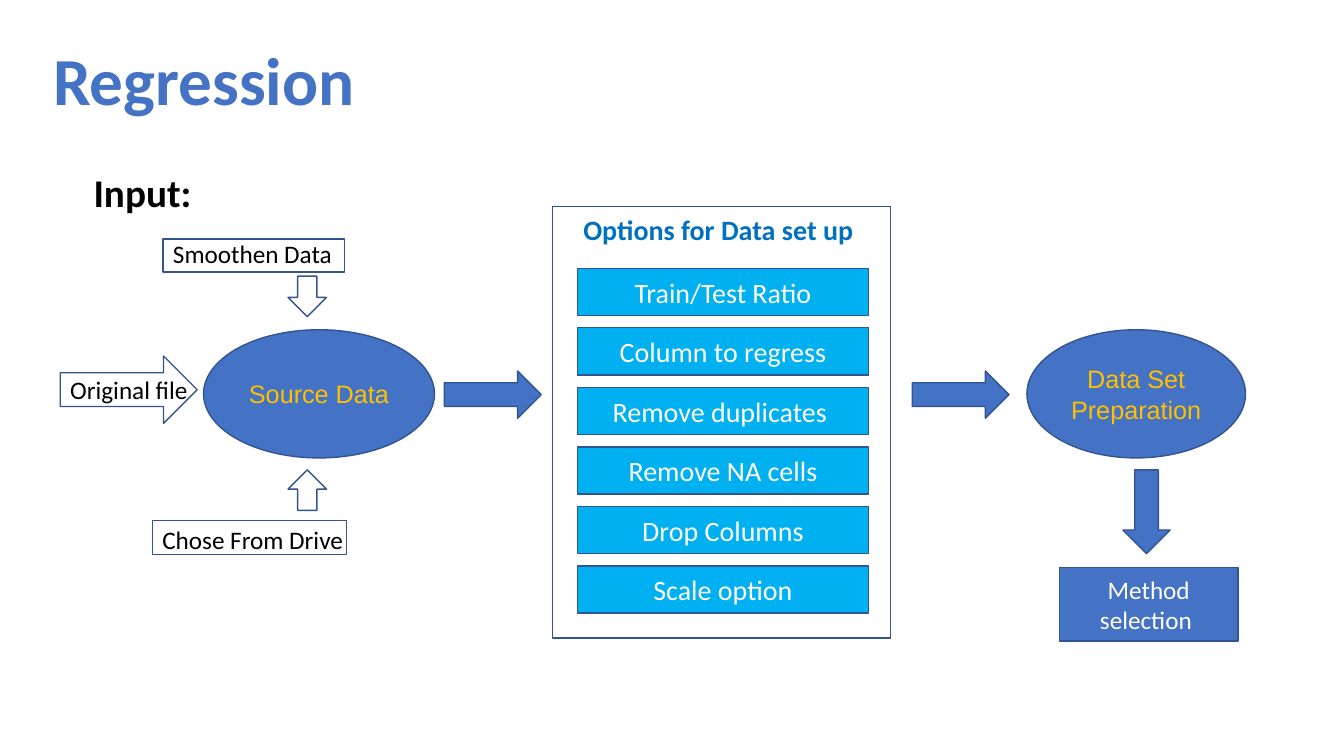
from dataclasses import dataclass

from pptx import Presentation
from pptx.dml.color import RGBColor
from pptx.enum.shapes import MSO_SHAPE
from pptx.enum.text import MSO_ANCHOR, PP_ALIGN
from pptx.util import Cm, Pt


@dataclass(frozen=True)
class Theme:
    blue: str = "4472C4"
    outline: str = "325491"
    sky: str = "00B0F0"
    heading: str = "0070C0"
    gold: str = "FFC000"
    white: str = "FFFFFF"
    black: str = "000000"
    body_font: str = "Calibri"
    node_font: str = "Arial"
    title_size: int = 48
    section_size: int = 28
    option_size: int = 20
    label_size: int = 18
    line_width: int = 1


@dataclass(frozen=True)
class Box:
    """A rectangle in centimetres."""
    left: float
    top: float
    width: float
    height: float

    def inner(self, left, top, width, height):
        """A box whose place is counted from this box's top left corner."""
        return Box(self.left + left, self.top + top, width, height)

    def lengths(self):
        return [Cm(n) for n in (self.left, self.top, self.width, self.height)]


THEME = Theme()
OPTIONS = ["Train/Test Ratio", "Column to regress", "Remove duplicates ",
           "Remove NA cells", "Drop Columns", "Scale option"]


def write(frame, text, size, color, font=THEME.body_font, bold=False):
    para = frame.paragraphs[0]
    para.text = text
    para.font.name = font
    para.font.size = Pt(size)
    para.font.bold = bold
    para.font.color.rgb = RGBColor.from_string(color)
    return para


def add_label(page, box, text, size=THEME.label_size, color=THEME.black,
              bold=False, wrap=True):
    frame = page.shapes.add_textbox(*box.lengths()).text_frame
    frame.word_wrap = wrap
    write(frame, text, size, color, bold=bold)
    return frame


def add_figure(page, kind, box, fill=None):
    """Add an outlined preset shape, hollow when no fill is given."""
    figure = page.shapes.add_shape(kind, *box.lengths())
    figure.shadow.inherit = False
    if fill:
        figure.fill.solid()
        figure.fill.fore_color.rgb = RGBColor.from_string(fill)
    else:
        figure.fill.background()
    figure.line.color.rgb = RGBColor.from_string(THEME.outline)
    figure.line.width = Pt(THEME.line_width)
    return figure


def add_node(page, kind, box, text, fill=THEME.blue, size=THEME.label_size,
             color=THEME.white, font=THEME.body_font):
    """Add a filled shape with its text in the middle."""
    frame = add_figure(page, kind, box, fill).text_frame
    frame.word_wrap = True
    frame.vertical_anchor = MSO_ANCHOR.MIDDLE
    write(frame, text, size, color, font).alignment = PP_ALIGN.CENTER


def add_ellipse(page, box, text):
    add_node(page, MSO_SHAPE.OVAL, box, text,
             color=THEME.gold, font=THEME.node_font)


def add_title(page, box):
    frame = add_label(page, box, "Regression", THEME.title_size, THEME.blue, bold=True)
    frame.vertical_anchor = MSO_ANCHOR.BOTTOM
    frame.paragraphs[0].alignment = PP_ALIGN.CENTER
    frame.paragraphs[0].line_spacing = 0.9


def add_sources(page, box):
    """Source data with the three inputs that feed it."""
    add_ellipse(page, box.inner(3.61, 2.44, 5.82, 3.23), "Source Data")

    add_figure(page, MSO_SHAPE.RIGHT_ARROW, box.inner(0, 3.1, 3.45, 1.7))
    add_label(page, box.inner(0, 3.43, 4.29, 1.02), "Original file")

    add_figure(page, MSO_SHAPE.RECTANGLE, box.inner(2.59, 0.15, 4.57, 0.84))
    add_label(page, box.inner(2.59, 0, 4.57, 1.02), "Smoothen Data", wrap=False)
    add_figure(page, MSO_SHAPE.DOWN_ARROW, box.inner(5.74, 1.09, 0.97, 1.02))

    add_figure(page, MSO_SHAPE.UP_ARROW, box.inner(5.74, 5.97, 0.97, 1.02))
    add_figure(page, MSO_SHAPE.RECTANGLE, box.inner(2.32, 7.24, 4.9, 0.86))
    add_label(page, box.inner(2.32, 7.21, 5.38, 1.02), "Chose From Drive")


def add_options(page, box):
    add_figure(page, MSO_SHAPE.RECTANGLE, box)
    add_label(page, box.inner(0.53, 0.02, box.width, 1.12), "Options for Data set up",
              THEME.option_size, THEME.heading, bold=True)
    for row, option in enumerate(OPTIONS):
        add_node(page, MSO_SHAPE.RECTANGLE, box.inner(0.63, 1.55 + 1.5 * row, 7.34, 1.19),
                 option, THEME.sky, THEME.option_size)


def add_preparation(page, box):
    """Data set preparation leading down to the method."""
    add_ellipse(page, box.inner(0, 0, box.width, 3.23), "Data Set Preparation")
    add_figure(page, MSO_SHAPE.DOWN_ARROW, box.inner(2.42, 3.53, 1.19, 2.11), THEME.blue)
    add_node(page, MSO_SHAPE.RECTANGLE, box.inner(0.82, 5.99, 4.5, 1.85),
             "Method selection ")


def main():
    deck = Presentation()
    deck.slide_width, deck.slide_height = Cm(33.87), Cm(19.05)
    page = deck.slides.add_slide(deck.slide_layouts[6])

    add_title(page, Box(-0.13, 0.13, 10.54, 3.02))
    add_label(page, Box(2.11, 4.11, 3.23, 1.45), "Input:", THEME.section_size,
              bold=True, wrap=False)
    add_sources(page, Box(1.52, 5.87, 9.43, 8.23))
    add_options(page, Box(13.92, 5.21, 8.53, 10.87))
    add_preparation(page, Box(25.88, 8.31, 5.51, 7.84))
    for left in (11.2, 22.99):
        add_figure(page, MSO_SHAPE.RIGHT_ARROW, Box(left, 9.35, 2.44, 1.19), THEME.blue)

    deck.save("out.pptx")


if __name__ == "__main__":
    main()
